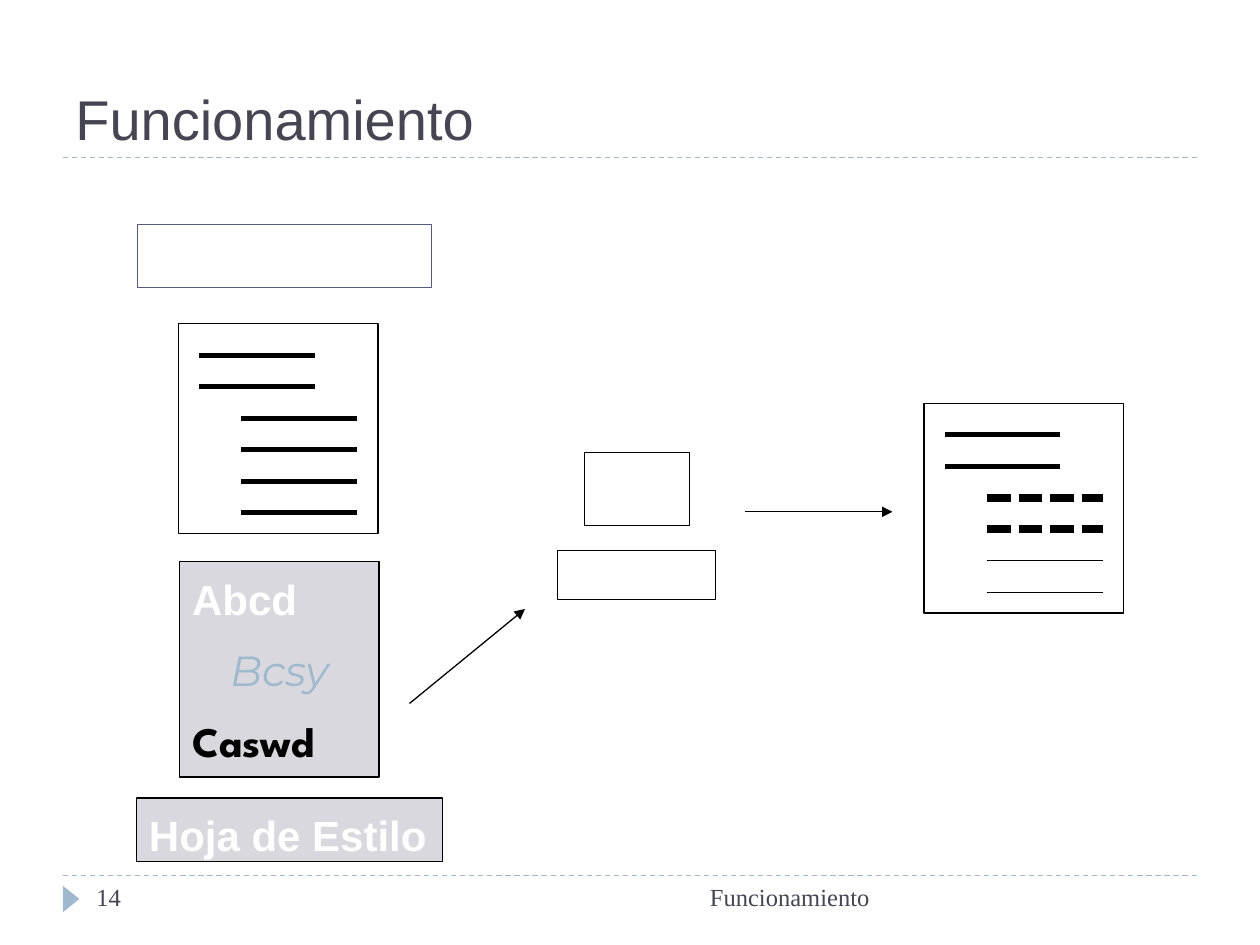
from dataclasses import dataclass

from lxml import etree
from pptx import Presentation
from pptx.dml.color import RGBColor
from pptx.enum.dml import MSO_LINE
from pptx.enum.shapes import MSO_CONNECTOR, MSO_SHAPE
from pptx.enum.text import MSO_ANCHOR, PP_ALIGN
from pptx.oxml.ns import qn
from pptx.util import Pt

RECT, TRI = MSO_SHAPE.RECTANGLE, MSO_SHAPE.ISOSCELES_TRIANGLE
DASH, DOT = MSO_LINE.DASH, MSO_LINE.SQUARE_DOT
LEFT, MID, RIGHT = PP_ALIGN.LEFT, PP_ALIGN.CENTER, PP_ALIGN.RIGHT
TOP, BASE = MSO_ANCHOR.TOP, MSO_ANCHOR.BOTTOM
BLACK, WHITE, BLUE = "000000", "FFFFFF", "9FB8CD"
INK, NAVY, GREY = "464653", "525B7E", "D8D8DE"


@dataclass
class Box:
    """Place and size, in points."""
    left: float
    top: float
    wide: float
    high: float


@dataclass
class Stroke:
    """Look of a line."""
    width: float = 0.75
    color: str = BLACK
    dash: MSO_LINE | None = None
    arrow: bool = False


@dataclass
class Word:
    """One paragraph of text and its look."""
    text: str
    size: float
    font: str
    color: str
    bold: bool = False
    slant: bool = False
    align: PP_ALIGN = LEFT
    gap: float = 0


def paint(color: str) -> RGBColor:
    """Turn a hex string into a colour."""
    return RGBColor.from_string(color)


def rule(x1: float, y1: float, x2: float, y2: float, look: Stroke) -> None:
    """Draw a straight line, with an arrowhead if asked."""
    line = slide.shapes.add_connector(
        MSO_CONNECTOR.STRAIGHT, Pt(x1), Pt(y1), Pt(x2), Pt(y2))
    line.line.width = Pt(look.width)
    line.line.color.rgb = paint(look.color)
    if look.dash is not None:
        line.line.dash_style = look.dash
    if look.arrow:
        etree.SubElement(line.line._get_or_add_ln(), qn("a:tailEnd"), type="triangle")
    etree.SubElement(line._element.spPr, qn("a:effectLst"))


def block(box: Box, fill: str | None = None, edge: str | None = BLACK, kind=RECT):
    """Draw a preset shape and return it."""
    shape = slide.shapes.add_shape(
        kind, Pt(box.left), Pt(box.top), Pt(box.wide), Pt(box.high))
    shape.shadow.inherit = False
    if fill:
        shape.fill.solid()
        shape.fill.fore_color.rgb = paint(fill)
    else:
        shape.fill.background()
    if edge:
        shape.line.color.rgb = paint(edge)
        shape.line.width = Pt(0.75)
    else:
        shape.line.fill.background()
    return shape


def write(shape, words: list[Word], anchor=TOP, pad: float = 3.6, wrap: bool = True) -> None:
    """Fill a shape with paragraphs."""
    frame = shape.text_frame
    frame.word_wrap = wrap
    frame.vertical_anchor = anchor
    frame.margin_top = Pt(pad)
    for i, word in enumerate(words):
        para = frame.add_paragraph() if i else frame.paragraphs[0]
        para.text = word.text
        para.alignment = word.align
        para.space_before = Pt(word.gap)
        font = para.font
        font.size, font.name = Pt(word.size), word.font
        font.bold, font.italic = word.bold, word.slant
        font.color.rgb = paint(word.color)


def label(box: Box, word: Word, anchor=TOP) -> None:
    """Place a text box with one paragraph."""
    text = slide.shapes.add_textbox(
        Pt(box.left), Pt(box.top), Pt(box.wide), Pt(box.high))
    write(text, [word], anchor)


def page(left: float, top: float, looks: list[Stroke]) -> None:
    """Draw a sheet of lines; all but the first two are indented."""
    block(Box(left, top, 114, 120))
    for i, look in enumerate(looks):
        x, y = left + (12 if i < 2 else 36), top + 18 * (i + 1)
        rule(x, y, x + 66, y, look)


deck = Presentation()
deck.slide_width, deck.slide_height = Pt(720), Pt(540)
slide = deck.slides.add_slide(deck.slide_layouts[6])

# Frame of the slide
for y in (500.4, 90):
    rule(36, y, 684, y, Stroke(color=BLUE, dash=DASH))
mark = block(Box(33.1, 509, 15.1, 9.4), BLUE, None, TRI)
mark.rotation = 90
label(Box(36, 12.2, 648, 77.8), Word("Funcionamiento", 32, "Arial", INK), BASE)

# Computer and arrows
block(Box(334, 258.5, 60, 42))
block(Box(318.7, 314.5, 90.3, 28))
rule(234, 402, 300, 348, Stroke(arrow=True))
rule(426, 292.5, 510, 292.5, Stroke(arrow=True))

# Source and result pages
thick, dots, thin = Stroke(3), Stroke(4.5, dash=DOT), Stroke()
page(102, 185, [thick] * 6)
page(528, 230.4, [thick] * 2 + [dots] * 2 + [thin] * 2)
block(Box(78.5, 128.2, 168, 36.2), edge=NAVY)

# Style sheet
write(block(Box(102.7, 321, 114, 123), GREY), [
    Word("Abcd", 24, "Arial", WHITE, bold=True),
    Word("Bcsy", 24, "Montserrat", BLUE, slant=True, align=MID, gap=12),
    Word("Caswd", 24, "League Spartan", BLACK, bold=True, gap=12),
], pad=6.5)
write(block(Box(78, 456, 174.7, 36.4), GREY),
      [Word("Hoja de Estilo", 24, "Arial", WHITE, bold=True)], pad=6.5, wrap=False)

# Footer
label(Box(48, 500.4, 156, 28.8), Word("14", 14, "Times New Roman", INK))
label(Box(228, 500.4, 276, 28.8),
      Word("Funcionamiento", 14, "Times New Roman", INK, align=RIGHT))

deck.save("out.pptx")
